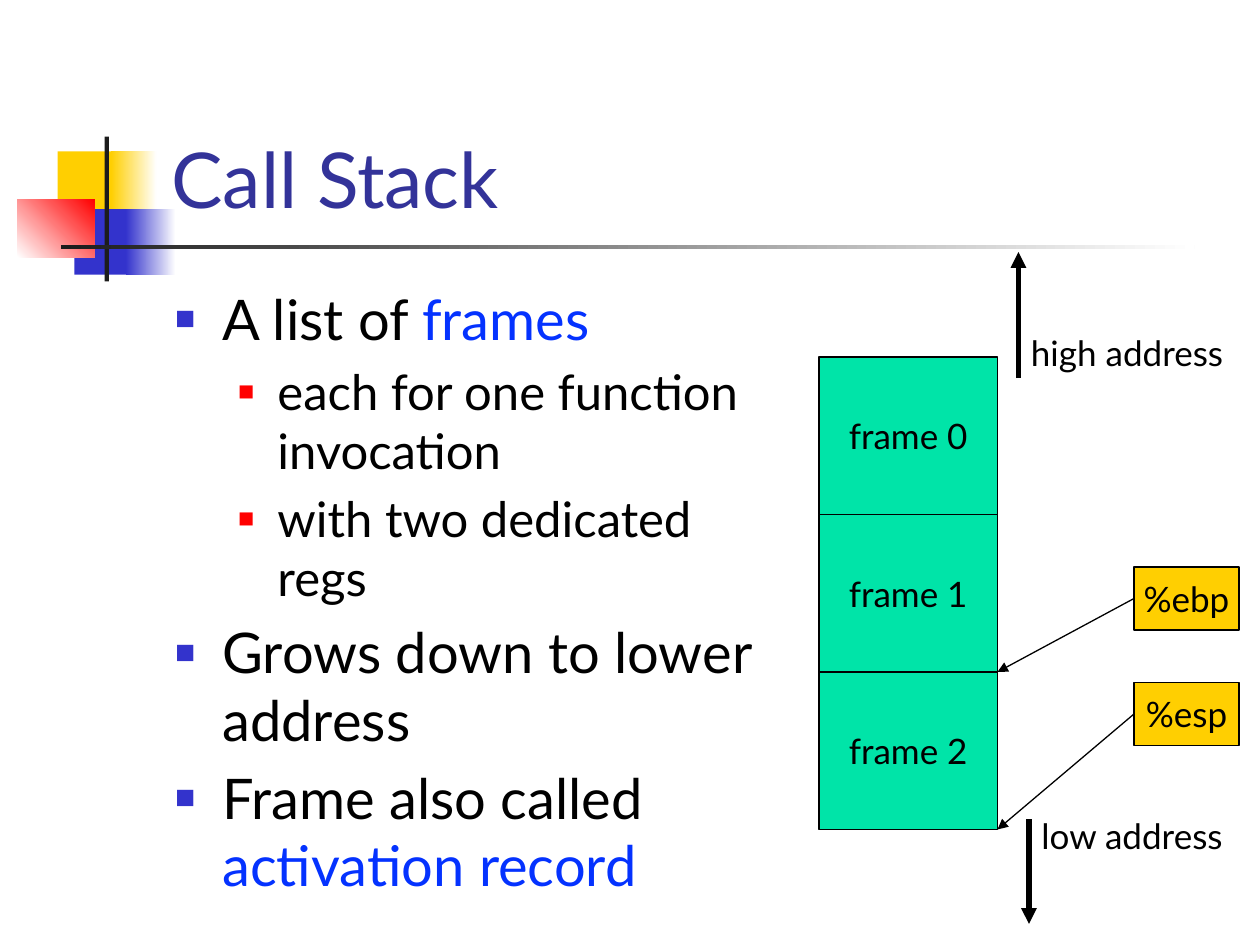
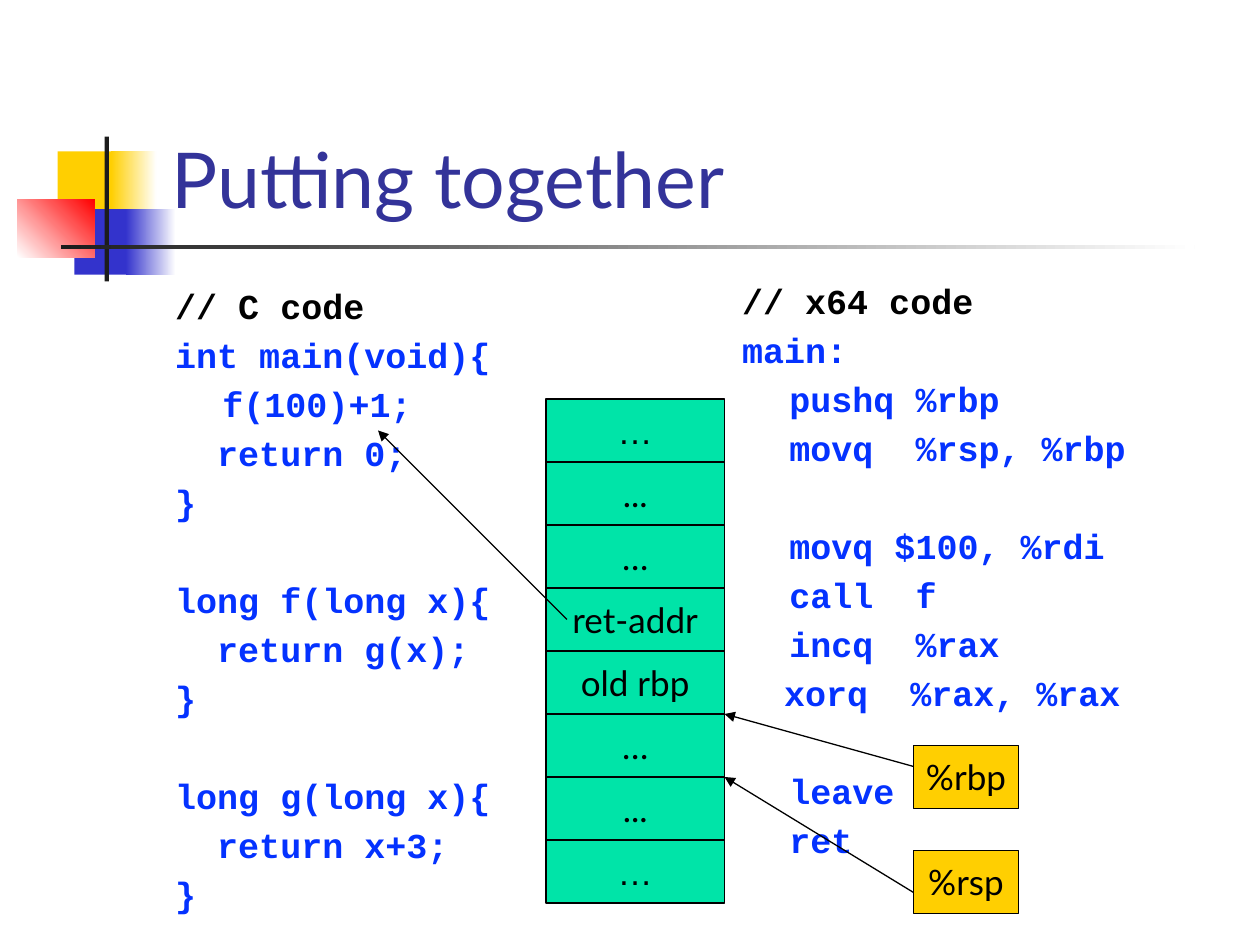
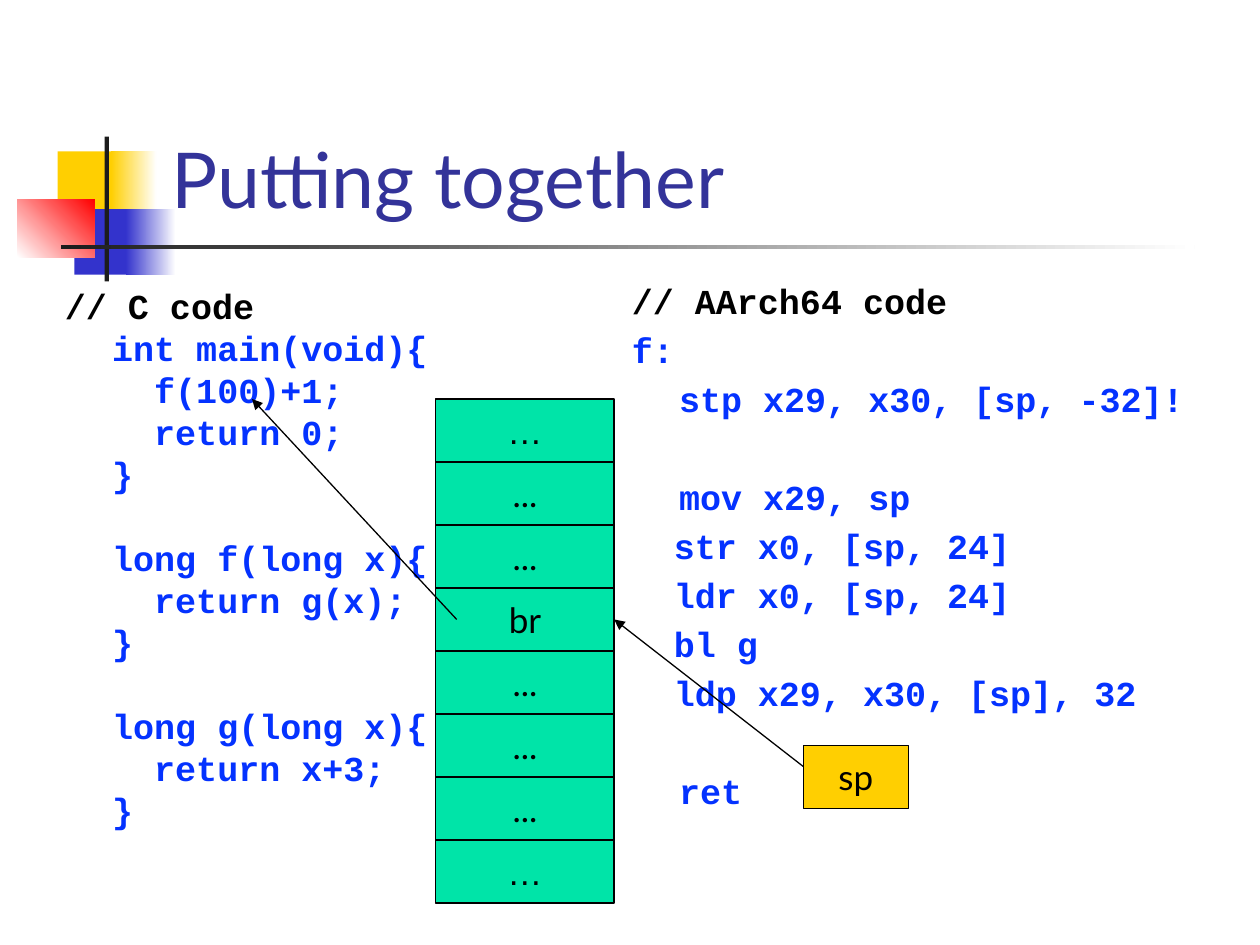
import lxml.etree
import pptx
import pptx.dml.color
import pptx.enum.shapes
import pptx.enum.text
import pptx.oxml.ns
import pptx.util

Pt = pptx.util.Pt
qn = pptx.oxml.ns.qn
RECTANGLE = pptx.enum.shapes.MSO_SHAPE.RECTANGLE
STRAIGHT = pptx.enum.shapes.MSO_CONNECTOR.STRAIGHT
ANCHOR = pptx.enum.text.MSO_ANCHOR
ALIGN = pptx.enum.text.PP_ALIGN

HEX = {
    "black": "000000", "white": "FFFFFF", "ink": "1C1C1C", "title": "333399",
    "blue": "0432FF", "indigo": "3333CC", "red": "FF0000",
    "yellow": "FFCF01", "green": "00E4A8",
}
COLORS = {name: pptx.dml.color.RGBColor.from_string(value) for name, value in HEX.items()}

LATO = {"name": "Lato", "size": Pt(20)}
CODE_FONT = {"name": "Courier New", "size": Pt(20), "bold": True}
LINE_HEIGHT = 24
STYLES = {
    "title": {"font": {"name": "Lato", "size": Pt(44)}, "format": {"alignment": ALIGN.LEFT}},
    "point": {"font": {"name": "Lato", "size": Pt(32)}, "indent": (27, -27),
              "bullet": ("indigo", 60), "before": 6.4},
    "detail": {"font": {"name": "Lato", "size": Pt(28)}, "indent": (58.5, -22.5),
               "bullet": ("red", 55), "before": 5.6},
    "code": {"font": CODE_FONT, "indent": (27, -27), "before": 4,
             "format": {"line_spacing": Pt(LINE_HEIGHT)}},
    "block": {"font": CODE_FONT, "indent": (27, 0), "before": 0,
              "format": {"line_spacing": Pt(LINE_HEIGHT)}},
    "box": {"font": LATO, "format": {"alignment": ALIGN.CENTER}},
    "dots": {"font": {"name": "Arial", "size": Pt(20)}, "format": {"alignment": ALIGN.CENTER}},
    "label": {"font": LATO},
}

BAND = [
    ((33, 86.5, 34.5, 37.5), ["yellow"], 0),
    ((63.5, 86.5, 26, 37.5), ["yellow", "white"], 0),
    ((42.5, 119.5, 33, 37.5), ["indigo"], 0),
    ((72, 119.5, 28.5, 37.5), ["indigo", "white"], 0),
    ((10, 113.75, 44, 33.25), ["white", "red"], 45),
    ((59.75, 78, 2.5, 82.75), ["ink"], 0),
    ((34.75, 140, 648, 2.5), ["ink", "white"], 0),
]

C_CODE = ["int main(void){", "  f(100)+1;", "  return 0;", "}", "",
          "long f(long x){", "  return g(x);", "}", "",
          "long g(long x){", "  return x+3;", "}"]
TABBED_C_CODE = [line.replace("  f(", "\tf(") for line in C_CODE]
X64_CODE = ["main:", "\tpushq %rbp", "\tmovq  %rsp, %rbp", "",
            "\tmovq $100, %rdi", "\tcall  f", "\tincq  %rax",
            "  xorq  %rax, %rax", "", "\tleave", "\tret"]
AARCH64_CODE = ["f:", "\tstp x29, x30, [sp, -32]!", "", "\tmov x29, sp",
                "  str x0, [sp, 24]", "  ldr x0, [sp, 24]", "  bl g",
                "  ldp x29, x30, [sp], 32", "", "\tret"]

PAGES = [
    {
        "title": "Call Stack",
        "texts": [
            ((93, 159, 357, 324), [
                ("point", [("A list of ", "black"), ("frames", "blue")]),
                ("detail", [("each for one function invocation", "black")]),
                ("detail", [("with two dedicated regs", "black")]),
                ("point", [("Grows down to lower address", "black")]),
                ("point", [("Frame also called ", "black"), ("activation record", "blue")]),
            ]),
            ((582, 186, 132, 31), [("label", [("high address", "black")])]),
            ((588, 462, 132, 31), [("label", [("low address", "black")])]),
        ],
        "stack": (468, 204, 90, ["frame 0", "frame 1", "frame 2"]),
        "registers": [(648, 324, "%ebp"), (648, 390, "%esp")],
        "arrows": [
            (648, 342, 570, 384, 0.75), (648, 408, 570, 474, 0.75),
            (588, 468, 588, 528, 3), (582, 216, 582, 144, 3),
        ],
    },
    {
        "title": "Putting together",
        "texts": [
            ((417, 156, 291, 324), [("code", [("// x64 code", "black")])]
             + [("code", [(line, "blue")]) for line in X64_CODE]),
            ((93, 159, 303, 324), [("code", [("// C code", "black")])]
             + [("code", [(line, "blue")]) for line in TABBED_C_CODE]),
        ],
        "stack": (312, 228, 36, ["…", "...", "…", "ret-addr", "old rbp", "…", "...", "…"]),
        "registers": [(522, 426, "%rbp"), (522, 486, "%rsp")],
        "arrows": [
            (522, 438, 414, 408, 0.75), (522, 510, 414, 444, 0.75),
            (324, 354, 216, 246, 0.75),
        ],
    },
    {
        "title": "Putting together",
        "texts": [
            ((354, 156, 330, 324), [("code", [("// AArch64 code", "black")])]
             + [("code", [(line, "blue")]) for line in AARCH64_CODE]),
            ((30, 159, 303, 324), [("code", [("// C code", "black")])]
             + [("block", [(line, "blue")]) for line in C_CODE]),
        ],
        "stack": (249, 228, 36, ["…", "...", "...", "br", "...", "...", "...", "…"]),
        "registers": [(459, 426, "sp")],
        "arrows": [(459, 438, 351, 354, 0.75), (261, 354, 144, 228, 0.75)],
    },
]


def set_format(target, values):
    for name, value in values.items():
        setattr(target, name, value)


def write_paragraph(paragraph, style, runs):
    properties = paragraph._p.get_or_add_pPr()
    if "indent" in style:
        for name, points in zip(("marL", "indent"), style["indent"]):
            properties.set(name, str(Pt(points)))
    if "bullet" in style:
        color, percent = style["bullet"]
        bullet_color = lxml.etree.SubElement(properties, qn("a:buClr"))
        lxml.etree.SubElement(bullet_color, qn("a:srgbClr"), val=HEX[color])
        lxml.etree.SubElement(properties, qn("a:buSzPct"), val=str(percent * 1000))
        lxml.etree.SubElement(properties, qn("a:buFont"), typeface="Arial")
        lxml.etree.SubElement(properties, qn("a:buChar"), char="■")
    set_format(paragraph, style.get("format", {}))
    for text, color in runs:
        run = paragraph.add_run()
        run.text = text
        set_format(run.font, style["font"])
        run.font.color.rgb = COLORS[color]


presentation = pptx.Presentation()
set_format(presentation, {"slide_width": Pt(720), "slide_height": Pt(540)})
layout = presentation.slide_layouts[5]
slides = [presentation.slides.add_slide(layout) for page in PAGES]

for number, (place, colors, angle) in enumerate(BAND, 20):
    shape = slides[0].shapes.add_shape(RECTANGLE, *map(Pt, place))
    shape.shadow.inherit = False
    shape.line.fill.background()
    if len(colors) == 1:
        shape.fill.solid()
        shape.fill.fore_color.rgb = COLORS[colors[0]]
    else:
        shape.fill.gradient()
        shape.fill.gradient_angle = angle
        for stop, color in zip(shape.fill.gradient_stops, colors):
            stop.color.rgb = COLORS[color]
    shape.element.nvSpPr.cNvPr.id = number
    layout.placeholders[0].element.addprevious(shape.element)

for slide, page in zip(slides, PAGES):
    title = slide.shapes.title
    set_format(title, {"left": Pt(90.75), "top": Pt(16.5), "width": Pt(613.5), "height": Pt(115.25)})
    set_format(title.text_frame, {
        "vertical_anchor": ANCHOR.BOTTOM, "word_wrap": True,
        "auto_size": pptx.enum.text.MSO_AUTO_SIZE.NONE,
    })
    write_paragraph(title.text_frame.paragraphs[0], STYLES["title"], [(page["title"], "title")])

    for place, paragraphs in page["texts"]:
        frame = slide.shapes.add_textbox(*map(Pt, place)).text_frame
        frame.word_wrap = True
        gap = 0
        for index, (style_name, runs) in enumerate(paragraphs):
            style = STYLES[style_name]
            if index:
                gap += style["before"]
            if not runs[0][0]:
                gap += LINE_HEIGHT
                continue
            paragraph = frame.add_paragraph() if index else frame.paragraphs[0]
            write_paragraph(paragraph, style, runs)
            if gap:
                paragraph.space_before = Pt(gap)
            gap = 0

    left, top, height, cells = page["stack"]
    boxes = [((left, top + index * height, 102, height), text, "green",
              "dots" if text == "…" and index in (0, len(cells) - 1) else "box")
             for index, text in enumerate(cells)]
    boxes += [((left, top, 60, 36), text, "yellow", "box") for left, top, text in page["registers"]]
    for place, text, color, style_name in boxes:
        shape = slide.shapes.add_shape(RECTANGLE, *map(Pt, place))
        shape.shadow.inherit = False
        shape.fill.solid()
        shape.fill.fore_color.rgb = COLORS[color]
        shape.line.color.rgb = COLORS["black"]
        shape.line.width = Pt(0.75)
        set_format(shape.text_frame, {"vertical_anchor": ANCHOR.MIDDLE, "word_wrap": False})
        write_paragraph(shape.text_frame.paragraphs[0], STYLES[style_name], [(text, "black")])

    for *ends, width in page["arrows"]:
        arrow = slide.shapes.add_connector(STRAIGHT, *map(Pt, ends))
        arrow.line.color.rgb = COLORS["black"]
        arrow.line.width = Pt(width)
        properties = arrow.element.spPr
        lxml.etree.SubElement(properties.find(qn("a:ln")), qn("a:tailEnd"), type="triangle")
        lxml.etree.SubElement(properties, qn("a:effectLst"))

presentation.save("out.pptx")
